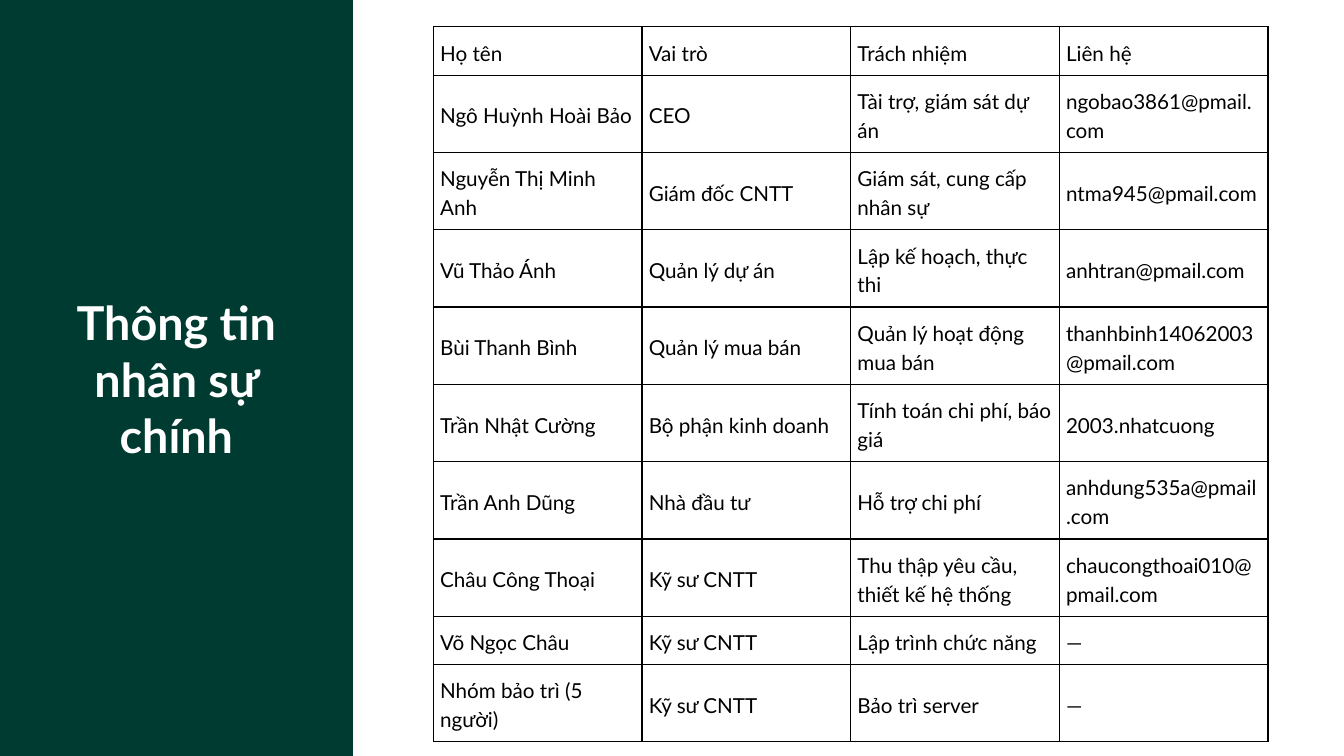
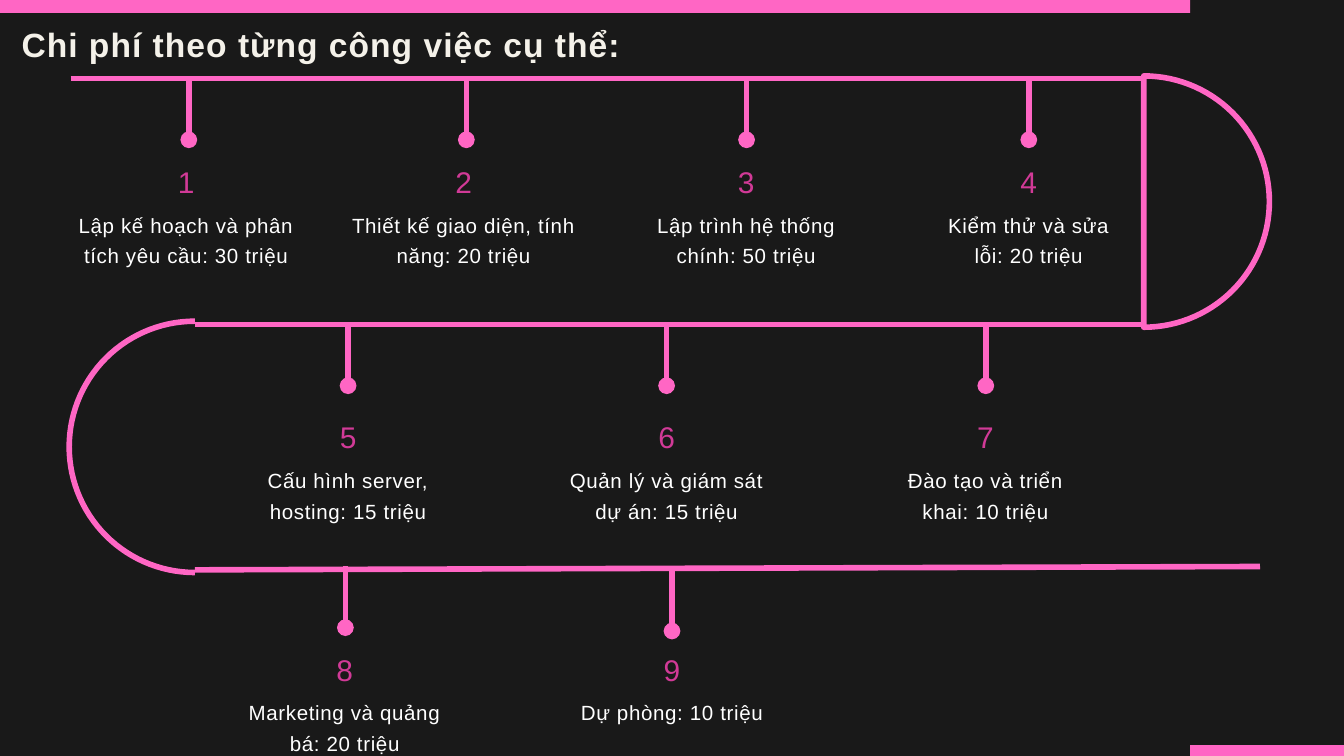
from math import cos, pi, sin

from lxml.etree import SubElement
from pptx import Presentation
from pptx.dml.color import RGBColor
from pptx.enum.shapes import MSO_CONNECTOR, MSO_SHAPE
from pptx.enum.text import MSO_ANCHOR, MSO_AUTO_SIZE, PP_ALIGN
from pptx.oxml.ns import qn
from pptx.util import Inches, Pt

WHITE = RGBColor(0xFF, 0xFF, 0xFF)
BLACK = RGBColor(0x00, 0x00, 0x00)
GREEN = RGBColor(0x00, 0x3B, 0x31)
CHARCOAL = RGBColor(0x19, 0x19, 0x19)
CREAM = RGBColor(0xF4, 0xF1, 0xE9)
PINK = RGBColor(0xFF, 0x66, 0xC4)
MAGENTA = RGBColor(0xD1, 0x3A, 0x97)

SLIDE_WIDTH, SLIDE_HEIGHT = 20, 11.25
TRACK_WEIGHT = Pt(6)

STAFF_TITLE = "Thông tin nhân sự chính"
STAFF = [
    ("Họ tên", "Vai trò", "Trách nhiệm", "Liên hệ"),
    ("Ngô Huỳnh Hoài Bảo", "CEO", "Tài trợ, giám sát dự án", "ngobao3861@pmail.com"),
    ("Nguyễn Thị Minh Anh", "Giám đốc CNTT", "Giám sát, cung cấp nhân sự", "ntma945@pmail.com"),
    ("Vũ Thảo Ánh", "Quản lý dự án", "Lập kế hoạch, thực thi", "anhtran@pmail.com"),
    ("Bùi Thanh Bình", "Quản lý mua bán", "Quản lý hoạt động mua bán", "thanhbinh14062003@pmail.com"),
    ("Trần Nhật Cường", "Bộ phận kinh doanh", "Tính toán chi phí, báo giá", "2003.nhatcuong"),
    ("Trần Anh Dũng", "Nhà đầu tư", "Hỗ trợ chi phí", "anhdung535a@pmail.com"),
    ("Châu Công Thoại", "Kỹ sư CNTT", "Thu thập yêu cầu, thiết kế hệ thống", "chaucongthoai010@pmail.com"),
    ("Võ Ngọc Châu", "Kỹ sư CNTT", "Lập trình chức năng", "—"),
    ("Nhóm bảo trì (5 người)", "Kỹ sư CNTT", "Bảo trì server", "—"),
]
SHORT_ROWS = (0, 8)

COST_TITLE = "Chi phí theo từng công việc cụ thể:"
COST_ROWS = [
    {
        "track": (1.05, 1.17, 17.03, 1.17),
        "label_top": 2.39,
        "steps": [
            (2.81, 1.17, 1.05, 3.44, "Lập kế hoạch và phân tích yêu cầu: 30 triệu"),
            (6.94, 1.17, 5.18, 3.44, "Thiết kế giao diện, tính năng: 20 triệu"),
            (11.11, 1.17, 9.31, 3.59, "Lập trình hệ thống chính: 50 triệu"),
            (15.31, 1.17, 13.91, 2.8, "Kiểm thử và sửa lỗi: 20 triệu"),
        ],
    },
    {
        "track": (2.9, 4.83, 17.03, 4.83),
        "label_top": 6.19,
        "steps": [
            (5.18, 4.83, 3.46, 3.44, "Cấu hình server, hosting: 15 triệu"),
            (9.92, 4.83, 8.47, 2.9, "Quản lý và giám sát dự án: 15 triệu"),
            (14.67, 4.83, 13.21, 2.91, "Đào tạo và triển khai: 10 triệu"),
        ],
    },
    {
        "track": (2.9, 8.48, 18.75, 8.43),
        "label_top": 9.65,
        "steps": [
            (5.14, 8.43, 3.68, 2.9, "Marketing và quảng bá: 20 triệu"),
            (10, 8.48, 8.28, 3.44, "Dự phòng: 10 triệu"),
        ],
    },
]
DROP_LENGTH = 0.91
COST_OFFSET = 0.68
BEND_RADIUS = 1.87
BEND_POINTS = 60


def add_slide(deck, background):
    slide = deck.slides.add_slide(deck.slide_layouts[5])
    slide.background.fill.solid()
    slide.background.fill.fore_color.rgb = background
    return slide


def format_text(frame, text, font, size, color, leading, align=PP_ALIGN.CENTER, bold=False, tracking=0):
    frame.text = text
    frame.word_wrap = True
    paragraph = frame.paragraphs[0]
    paragraph.alignment = align
    paragraph.line_spacing = Pt(leading)
    paragraph.space_before = Pt(0)
    run = paragraph.runs[0]
    run.font.name = font
    run.font.size = Pt(size)
    run.font.bold = bold
    run.font.color.rgb = color
    if tracking:
        run._r.get_or_add_rPr().set("spc", str(round(tracking * 100)))


def fill_box(box, *text_format, **options):
    frame = box.text_frame
    frame.margin_left = frame.margin_right = frame.margin_top = frame.margin_bottom = 0
    frame.vertical_anchor = MSO_ANCHOR.TOP
    format_text(frame, *text_format, **options)
    frame.auto_size = MSO_AUTO_SIZE.SHAPE_TO_FIT_TEXT


def place_title(slide, left, top, width, height, *text_format, **options):
    title = slide.shapes.title
    title.left, title.top = Inches(left), Inches(top)
    title.width, title.height = Inches(width), Inches(height)
    fill_box(title, *text_format, bold=True, **options)


def add_label(slide, left, top, width, height, *text_format, **options):
    box = slide.shapes.add_textbox(Inches(left), Inches(top), Inches(width), Inches(height))
    fill_box(box, *text_format, **options)


def add_band(slide, left, top, width, height, color):
    band = slide.shapes.add_shape(
        MSO_SHAPE.RECTANGLE, Inches(left), Inches(top), Inches(width), Inches(height))
    band.shadow.inherit = False
    band.fill.solid()
    band.fill.fore_color.rgb = color
    band.line.fill.background()
    slide.shapes.title.element.addprevious(band.element)


def add_track(slide, x1, y1, x2, y2, dot=False):
    track = slide.shapes.add_connector(
        MSO_CONNECTOR.STRAIGHT, Inches(x1), Inches(y1), Inches(x2), Inches(y2))
    track.line.color.rgb = PINK
    track.line.width = TRACK_WEIGHT
    if dot:
        SubElement(track.line._get_or_add_ln(), qn("a:tailEnd"), type="oval")
    SubElement(track._element.spPr, qn("a:effectLst"))


def add_bend(slide, center_x, center_y, side, closed):
    angles = [pi * i / BEND_POINTS - pi / 2 for i in range(BEND_POINTS + 1)]
    points = [(Inches(center_x + side * BEND_RADIUS * cos(a)),
               Inches(center_y + BEND_RADIUS * sin(a))) for a in angles]
    builder = slide.shapes.build_freeform(*points[0])
    builder.add_line_segments(points[1:], close=closed)
    bend = builder.convert_to_shape()
    bend.shadow.inherit = False
    bend.fill.background()
    bend.line.color.rgb = PINK
    bend.line.width = TRACK_WEIGHT


def add_borders(cell):
    properties = cell._tc.get_or_add_tcPr()
    for index, side in enumerate(("lnL", "lnR", "lnT", "lnB")):
        border = properties.makeelement(qn(f"a:{side}"), {"w": str(Pt(1.5))})
        fill = SubElement(border, qn("a:solidFill"))
        SubElement(fill, qn("a:srgbClr"), val=str(BLACK))
        properties.insert(index, border)


def build_staff(deck):
    slide = add_slide(deck, WHITE)
    add_band(slide, 0, 0, 5.25, SLIDE_HEIGHT, GREEN)
    place_title(slide, 0.88, 4.38, 3.49, 2.5, STAFF_TITLE, "Lato", 50, WHITE, 60)
    table = slide.shapes.add_table(
        len(STAFF), len(STAFF[0]), Inches(6.45), Inches(0.4), Inches(12.42), Inches(10.62)).table
    table.first_row = table.horz_banding = False
    for row_index, person in enumerate(STAFF):
        table.rows[row_index].height = Inches(0.72 if row_index in SHORT_ROWS else 1.15)
        for column_index, text in enumerate(person):
            cell = table.cell(row_index, column_index)
            cell.fill.background()
            cell.vertical_anchor = MSO_ANCHOR.MIDDLE
            cell.margin_left = cell.margin_right = Inches(0.1)
            cell.margin_top = cell.margin_bottom = Inches(0.1)
            format_text(cell.text_frame, text, "Lato", 22.1, BLACK, 30.9, PP_ALIGN.LEFT)
            add_borders(cell)


def build_costs(deck):
    slide = add_slide(deck, CHARCOAL)
    add_band(slide, 0, 0, 17.71, 0.19, PINK)
    add_band(slide, 17.71, 11.09, SLIDE_WIDTH - 17.71, SLIDE_HEIGHT - 11.09, PINK)
    place_title(slide, 0.32, 0.31, 13.39, 0.63, COST_TITLE, "Arial", 36, CREAM, 46.8,
                align=PP_ALIGN.LEFT, tracking=1.1)
    add_bend(slide, 17.02, 3, 1, closed=True)
    add_bend(slide, 2.9, 6.65, -1, closed=False)
    number = 0
    for row in COST_ROWS:
        add_track(slide, *row["track"])
        top = row["label_top"]
        for drop_x, drop_y, left, width, cost in row["steps"]:
            number += 1
            add_track(slide, drop_x, drop_y, drop_x, drop_y + DROP_LENGTH, dot=True)
            add_label(slide, left, top, width, 0.55, str(number), "Arial", 32, MAGENTA, 41.6, tracking=1.6)
            height = 0.85 if len(cost) > 20 else 0.4
            add_label(slide, left, top + COST_OFFSET, width, height,
                      cost, "Arial", 22, WHITE, 33, tracking=0.7)


def main():
    deck = Presentation()
    deck.slide_width, deck.slide_height = Inches(SLIDE_WIDTH), Inches(SLIDE_HEIGHT)
    build_staff(deck)
    build_costs(deck)
    deck.save("out.pptx")


if __name__ == "__main__":
    main()
